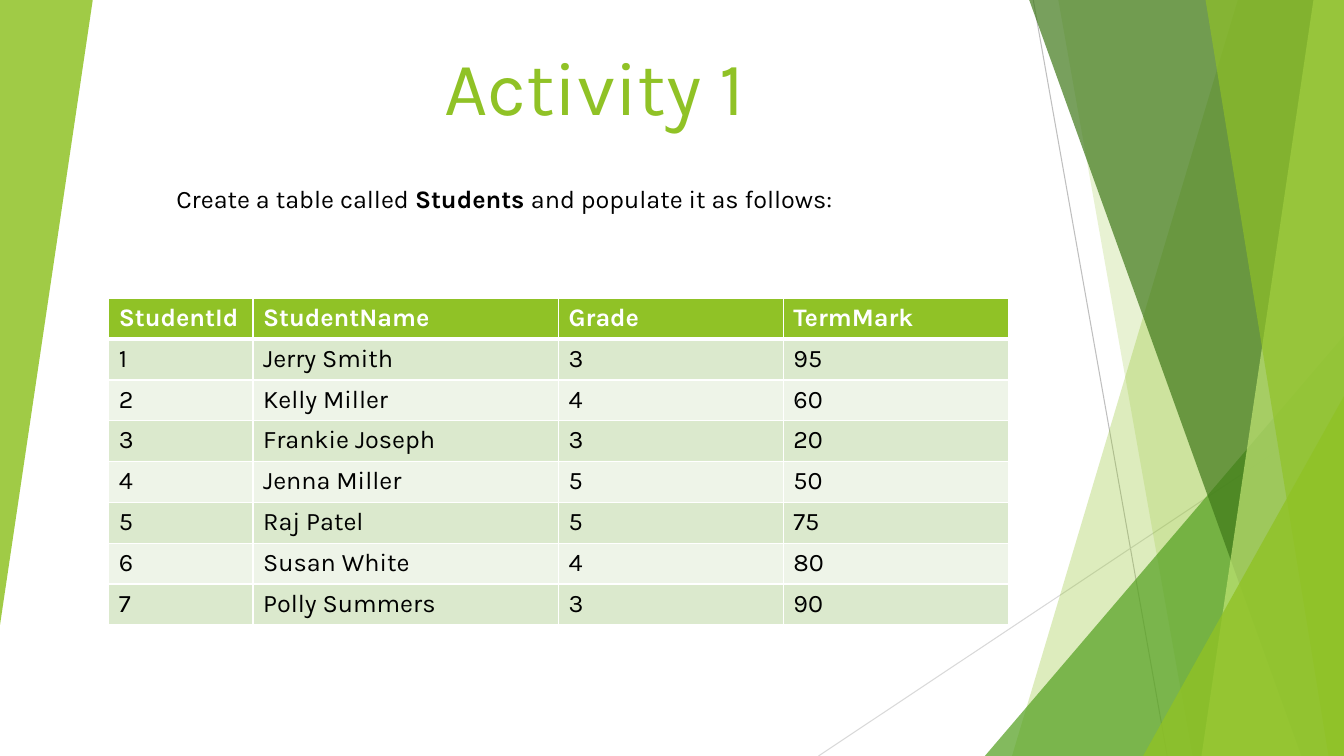
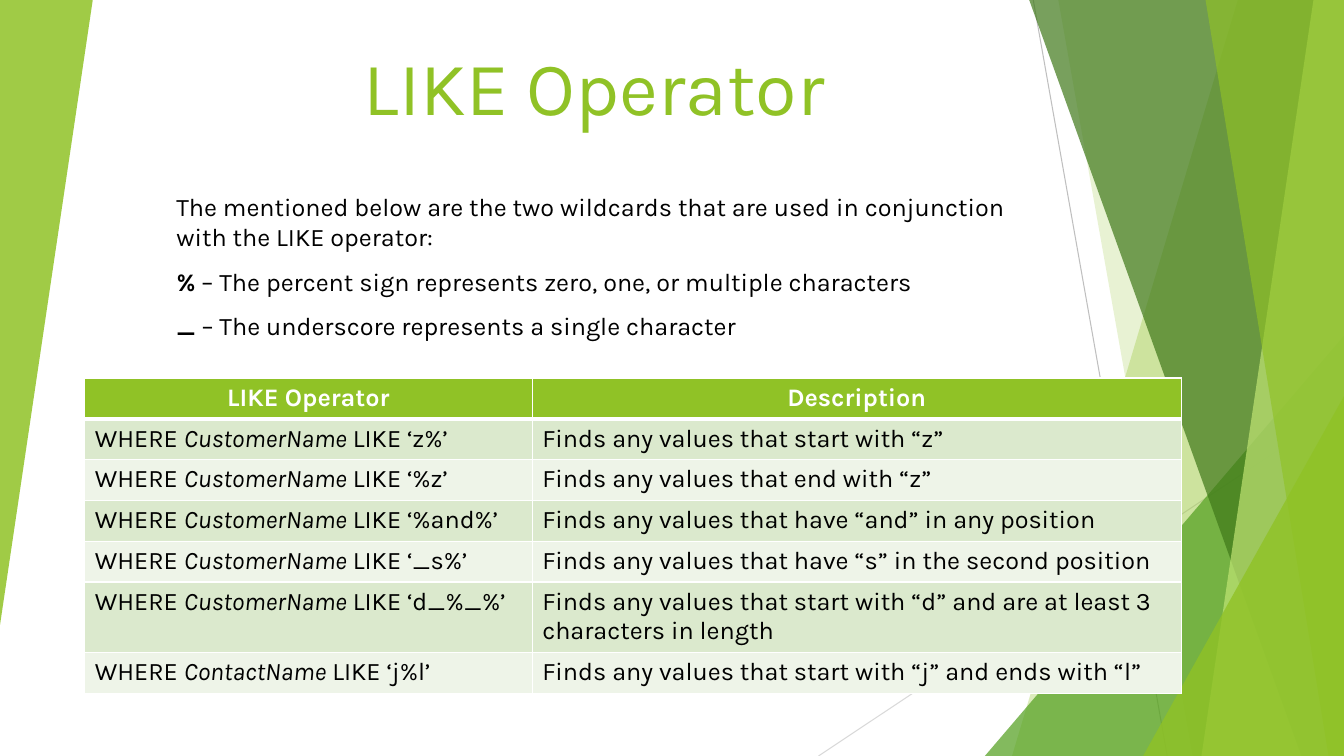
from pptx import Presentation, util as u
from pptx.dml import color
from pptx.enum import shapes, text
from pptx.oxml import parse_xml, ns

WIDTH, HEIGHT = u.Inches(13.333), u.Inches(7.5)
FONT = "Karla"
LIME, GREEN, FOREST, PALE = "90C226", "54A021", "3F7819", "C0E474"
BLACK, WHITE = "000000", "FFFFFF"
BANDS = ("DBE9CD", "EEF4E8")
TEXT_LEFT, TEXT_WIDTH = 12.38, 63.68
ROW_HEIGHT, TALL_ROW = 5.4, 9.33

LINES = [((76.88, 0), (86.85, 100), "BFBFBF"), ((100, 53.73), (60.9, 100), "D9D9D9")]
BACK_PANELS = [(92.1, 75.3, LIME, 30), (78.75, 88.73, LIME, 20)]
FRONT_PANELS = [(76.58, 96.83, FOREST, 70), (97.73, 89.4, PALE, 70), (89.7, 98.85, LIME, 65)]

STUDENTS = [
    ("StudentId", "StudentName", "Grade", "TermMark"),
    ("1", "Jerry Smith", "3", "95"),
    ("2", "Kelly Miller", "4", "60"),
    ("3", "Frankie Joseph", "3", "20"),
    ("4", "Jenna Miller", "5", "50"),
    ("5", "Raj Patel", "5", "75"),
    ("6", "Susan White", "4", "80"),
    ("7", "Polly Summers", "3", "90"),
]
WILDCARDS = [
    "The mentioned below are the two wildcards that are used in conjunction "
    "with the LIKE operator:",
    "*%* – The percent sign represents zero, one, or multiple characters",
    "*_* – The underscore represents a single character",
]
PATTERNS = [
    ("LIKE Operator", "Description"),
    ("WHERE *CustomerName* LIKE ‘z%’", "Finds any values that start with “z”"),
    ("WHERE *CustomerName* LIKE ‘%z’", "Finds any values that end with “z”"),
    ("WHERE *CustomerName* LIKE ‘%and%’", "Finds any values that have “and” in any position"),
    ("WHERE *CustomerName* LIKE ‘_s%’", "Finds any values that have “s” in the second position"),
    ("WHERE *CustomerName* LIKE ‘d_%_%’",
     "Finds any values that start with “d” and are at least 3 characters in length"),
    ("WHERE *ContactName* LIKE ‘j%l’", "Finds any values that start with “j” and ends with “l”"),
]


def across(share):
    """Turn a percentage of the slide width into a length."""
    return u.Emu(round(WIDTH * share / 100))


def down(share):
    """Turn a percentage of the slide height into a length."""
    return u.Emu(round(HEIGHT * share / 100))


def box(left, top, width, height):
    """Turn four shares of the slide into a position and a size."""
    return across(left), down(top), across(width), down(height)


def rgb(value):
    """Turn a hex string into a colour."""
    return color.RGBColor.from_string(value)


def paint(shape, fill, opacity):
    """Give a shape a translucent fill without line or shadow."""
    shape.shadow.inherit = False
    shape.line.fill.background()
    shape.fill.solid()
    shape.fill.fore_color.rgb = rgb(fill)
    tint = shape.fill._xPr.find(".//" + ns.qn("a:srgbClr"))
    tint.append(parse_xml(f'<a:alpha {ns.nsdecls("a")} val="{opacity * 1000}"/>'))


def add_line(slide, start, end, stroke):
    """Draw a thin straight line between two points."""
    line = slide.shapes.add_connector(
        shapes.MSO_CONNECTOR.STRAIGHT,
        across(start[0]), down(start[1]), across(end[0]), down(end[1]))
    line.line.color.rgb = rgb(stroke)
    line.line.width = u.Pt(0.75)
    line._element.spPr.append(parse_xml(f'<a:effectLst {ns.nsdecls("a")}/>'))


def add_panel(slide, top_edge, bottom_edge, fill, opacity):
    """Draw a full-height panel with a slanted left side."""
    outline = slide.shapes.build_freeform(across(top_edge), 0)
    outline.add_line_segments(
        [(WIDTH, 0), (WIDTH, HEIGHT), (across(bottom_edge), HEIGHT)], close=True)
    paint(outline.convert_to_shape(), fill, opacity)


def add_triangle(slide, place, fill, opacity, rotation=0):
    """Draw a triangle whose apex is above its right corner."""
    triangle = slide.shapes.add_shape(shapes.MSO_SHAPE.ISOSCELES_TRIANGLE, *box(*place))
    triangle.adjustments[0] = 1
    triangle.rotation = rotation
    paint(triangle, fill, opacity)


def add_backdrop(slide):
    """Draw the facets shared by all slides."""
    for line in LINES:
        add_line(slide, *line)
    for panel in BACK_PANELS:
        add_panel(slide, *panel)
    add_triangle(slide, (73.28, 44.4, 26.72, 55.6), GREEN, 72)
    for panel in FRONT_PANELS:
        add_panel(slide, *panel)
    add_triangle(slide, (85.05, 52.4, 14.95, 47.6), LIME, 80)
    add_triangle(slide, (0, 0, 6.9, 82.67), LIME, 85, rotation=180)


def write(paragraph, content, size=18, ink=BLACK, emphasis="bold"):
    """Fill a paragraph, emphasising the parts between asterisks."""
    paragraph.font.name = FONT
    paragraph.font.size = u.Pt(size)
    paragraph.font.color.rgb = rgb(ink)
    for index, part in enumerate(content.split("*")):
        run = paragraph.add_run()
        run.text = part
        if index % 2:
            setattr(run.font, emphasis, True)


def add_text_frame(slide, top, height):
    """Add a wrapping text box in the text column."""
    frame = slide.shapes.add_textbox(*box(TEXT_LEFT, top, TEXT_WIDTH, height)).text_frame
    frame.word_wrap = True
    return frame


def add_title(slide, title):
    """Add the large centred title."""
    frame = add_text_frame(slide, 4.67, 13.2)
    frame.vertical_anchor = text.MSO_ANCHOR.BOTTOM
    paragraph = frame.paragraphs[0]
    paragraph.alignment = text.PP_ALIGN.CENTER
    write(paragraph, title, size=54, ink=LIME)


def add_body(slide, top, height, lines):
    """Add the introductory paragraphs."""
    frame = add_text_frame(slide, top, height)
    for index, line in enumerate(lines):
        paragraph = frame.add_paragraph() if index else frame.paragraphs[0]
        paragraph.space_before = u.Pt(10)
        write(paragraph, line)


def add_borders(cell, bottom):
    """Give a cell white borders, the bottom one of its own width."""
    properties = cell._tc.get_or_add_tcPr()
    for side, width in (("L", 1), ("R", 1), ("T", 1), ("B", bottom)):
        properties.append(parse_xml(
            f'<a:ln{side} {ns.nsdecls("a")} w="{u.Pt(width)}"><a:solidFill>'
            f'<a:srgbClr val="{WHITE}"/></a:solidFill></a:ln{side}>'))


def add_banded_table(slide, left, top, columns, rows, header_alignment=None, tall_rows=()):
    """Add a table with a lime header and alternating bands."""
    heights = [TALL_ROW if index in tall_rows else ROW_HEIGHT for index in range(len(rows))]
    table = slide.shapes.add_table(
        len(rows), len(columns), *box(left, top, sum(columns), sum(heights))).table
    table.horz_banding = False
    for column, width in zip(table.columns, columns):
        column.width = across(width)
    for index, (row, height, contents) in enumerate(zip(table.rows, heights, rows)):
        row.height = down(height)
        header = index == 0
        for cell, content in zip(row.cells, contents):
            add_borders(cell, 3 if header else 1)
            cell.fill.solid()
            cell.fill.fore_color.rgb = rgb(LIME if header else BANDS[(index - 1) % 2])
            paragraph = cell.text_frame.paragraphs[0]
            write(paragraph, content, ink=WHITE if header else BLACK, emphasis="italic")
            if header:
                paragraph.font.bold = True
                paragraph.alignment = header_alignment


def add_slide(presentation, title):
    """Add a blank slide with the backdrop and a title."""
    slide = presentation.slides.add_slide(presentation.slide_layouts[6])
    add_backdrop(slide)
    add_title(slide, title)
    return slide


def main():
    """Build and save the presentation."""
    presentation = Presentation()
    presentation.slide_width, presentation.slide_height = WIDTH, HEIGHT

    activity = add_slide(presentation, "Activity 1")
    add_body(activity, 23.6, 8.53,
             ["Create a table called *Students *and populate it as follows:"])
    add_banded_table(activity, 8.1, 39.47, (10.73, 22.73, 16.73, 16.73), STUDENTS)

    operator = add_slide(presentation, "LIKE Operator")
    add_body(operator, 24.67, 65.73, WILDCARDS)
    add_banded_table(operator, 6.3, 50, (33.3, 48.3), PATTERNS,
                     header_alignment=text.PP_ALIGN.CENTER, tall_rows=(5,))

    presentation.save("out.pptx")


main()
